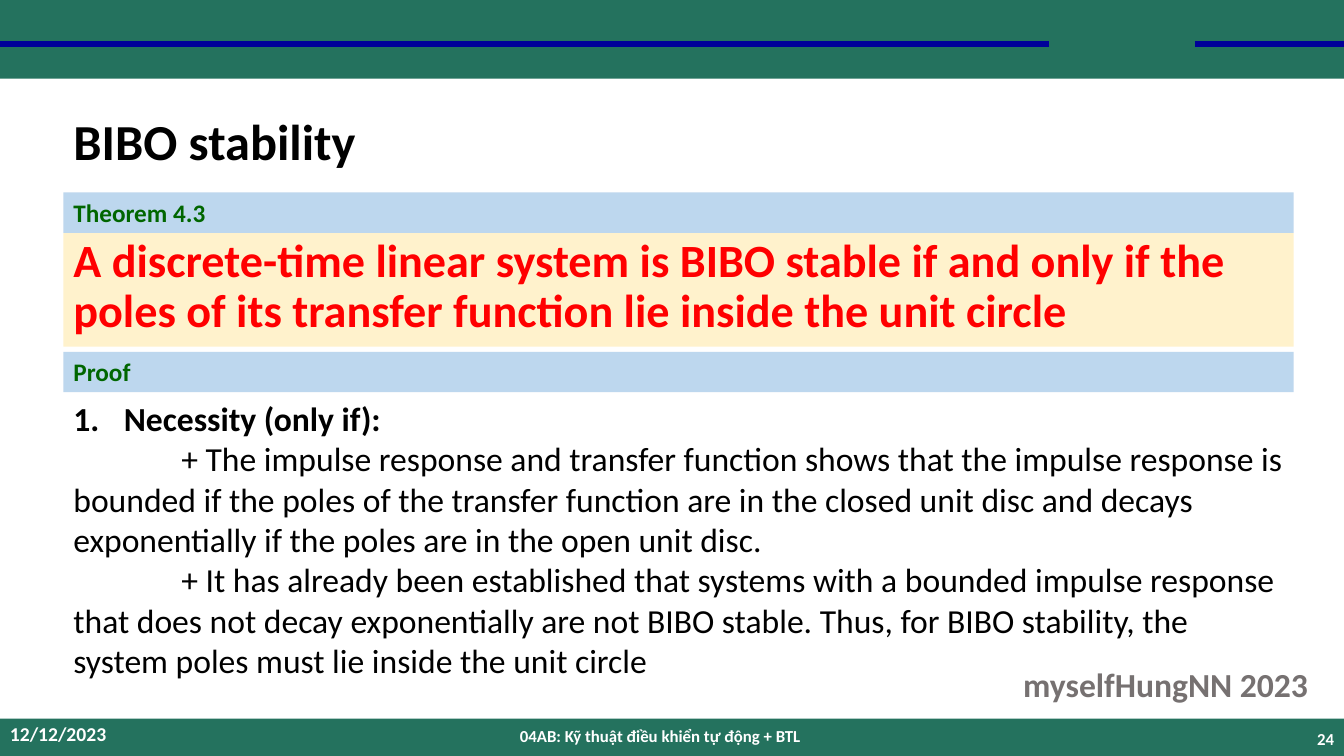
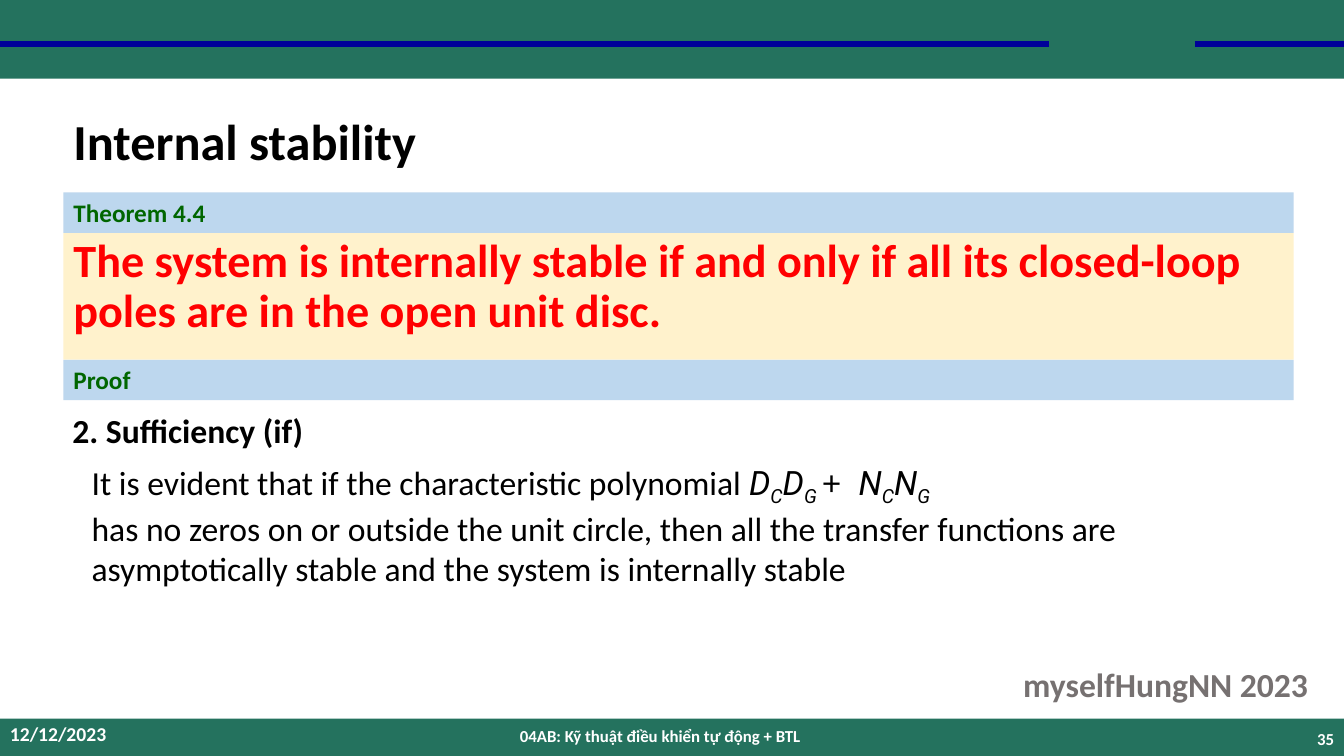
"""Builds two lecture slides on the stability of discrete-time systems."""
from dataclasses import dataclass

from lxml import etree
from pptx import Presentation
from pptx.dml.color import RGBColor
from pptx.enum.shapes import MSO_CONNECTOR as Connector, MSO_SHAPE as Shape
from pptx.enum.text import MSO_ANCHOR as Anchor, PP_ALIGN as Align
from pptx.oxml.ns import qn
from pptx.util import Inches, Pt


@dataclass(frozen=True)
class Theme:
    """Colours, fonts and type sizes."""
    green: str = "24725E"
    navy: str = "000099"
    grey: str = "767171"
    black: str = "000000"
    white: str = "FFFFFF"
    red: str = "FF0000"
    label: str = "006600"
    blue_band: str = "BDD7EE"
    cream: str = "FFF2CC"
    font: str = "Calibri"
    math_font: str = "Roboto"
    sign_font: str = "Lato"
    title: int = 36
    statement: int = 33
    body: int = 24
    heading: int = 18
    date: int = 14
    footer: int = 12


THEME = Theme()
WIDTH, HEIGHT = 13.33, 7.5
LEFT, CONTENT_WIDTH = 0.63, 12.2
HEADING_TOP, HEADING_HEIGHT = 1.91, 0.4
TOP_BAND, BOTTOM_BAND = 0.78, 0.37
RULE_TOP, RULES = 0.44, [(0, 10.4), (11.85, WIDTH)]

BOLD = {"bold": True}
SYMBOL = {"name": THEME.math_font, "italic": True}
SUBSCRIPT = {**SYMBOL, "baseline": -25000}
SIGN = {"name": THEME.sign_font}
INDENT = {"indent": 1.07}

FOOTERS = [
    ((4.3, 7.1, 4.5, 0.4), "04AB: Kỹ thuật điều khiển tự động + BTL", THEME.footer, Align.CENTER),
    ((0, 7.1, 3, 0.36), "12/12/2023", THEME.date, Align.LEFT),
]
PAGE_BOX = (10.33, 7.13, 3, 0.4)
SIGNATURE = ((10.05, 6.54, 3.05, 0.5), "myselfHungNN 2023")

SLIDES = [
    {
        "title": "BIBO stability",
        "page": "24",
        "theorem": "Theorem 4.3",
        "statement": "A discrete-time linear system is BIBO stable if and only if the "
                     "poles of its transfer function lie inside the unit circle",
        "statement_height": 1.13,
        "proof_top": 3.49,
        "proof": [
            ((LEFT, 3.9, CONTENT_WIDTH, 2.93), [
                ([("Necessity (only if):", BOLD)],
                 {"margin": 0.5, "indent": -0.5, "numbered": True}),
                ([("+ The impulse response and transfer function shows that the impulse "
                   "response is bounded if the poles of the transfer function are in the "
                   "closed unit disc and decays exponentially if the poles are in the open "
                   "unit disc.", {})], INDENT),
                ([("+ It has already been established that systems with a bounded impulse "
                   "response that does not decay exponentially are not BIBO stable. Thus, "
                   "for BIBO stability, the system poles must lie inside the unit circle",
                   {})], INDENT),
            ]),
        ],
    },
    {
        "title": "Internal stability",
        "page": "35",
        "theorem": "Theorem 4.4",
        "statement": "The system is internally stable if and only if all its closed-loop "
                     "poles are in the open unit disc.",
        "statement_height": 1.26,
        "proof_top": 3.57,
        "proof": [
            ((0.62, 4.02, 4.7, 0.5), [([("2. Sufficiency (if)", BOLD)], {})]),
            ((0.81, 4.53, 12.02, 1.31), [
                ([("It is evident that if the characteristic polynomial ", {}),
                  ("D", SYMBOL), ("C", SUBSCRIPT), ("D", SYMBOL), ("G ", SUBSCRIPT),
                  ("+  ", SIGN),
                  ("N", SYMBOL), ("C", SUBSCRIPT), ("N", SYMBOL), ("G", SUBSCRIPT)], {}),
                ([("has no zeros on or outside the unit circle, then all the transfer "
                   "functions are asymptotically stable and the system is internally "
                   "stable", {})], {}),
            ]),
        ],
    },
]


def rgb(value):
    return RGBColor.from_string(value)


def inches(box):
    return [Inches(length) for length in box]


def add_run(paragraph, text, size, color, style):
    run = paragraph.add_run()
    run.text = text
    run.font.color.rgb = rgb(color)
    style = {"name": THEME.font, "size": Pt(size), "bold": False, **style}
    baseline = style.pop("baseline", None)
    for key, value in style.items():
        setattr(run.font, key, value)
    if baseline:
        run._r.get_or_add_rPr().set("baseline", str(baseline))


def indent_paragraph(paragraph, margin=0, indent=0, numbered=False):
    properties = paragraph._p.get_or_add_pPr()
    properties.set("marL", str(Inches(margin)))
    properties.set("indent", str(Inches(indent)))
    if numbered:
        number = etree.SubElement(properties, qn("a:buAutoNum"))
        number.set("type", "arabicPeriod")


def write(frame, paragraphs, size, color, anchor=Anchor.TOP, wrap=True, **spacing):
    frame.word_wrap = wrap
    frame.vertical_anchor = anchor
    for index, (runs, layout) in enumerate(paragraphs):
        paragraph = frame.add_paragraph() if index else frame.paragraphs[0]
        for key, value in {"alignment": Align.LEFT, **spacing}.items():
            setattr(paragraph, key, value)
        indent_paragraph(paragraph, **layout)
        for text, style in runs:
            add_run(paragraph, text, size, color, style)


def bold_line(text):
    return [([(text, BOLD)], {})]


def add_text(slide, box, paragraphs, size, color, **options):
    textbox = slide.shapes.add_textbox(*inches(box))
    write(textbox.text_frame, paragraphs, size, color, **options)


def add_band(slide, box, fill):
    band = slide.shapes.add_shape(Shape.RECTANGLE, *inches(box))
    band.shadow.inherit = False
    band.fill.solid()
    band.fill.fore_color.rgb = rgb(fill)
    band.line.fill.background()
    return band.text_frame


def add_rule(slide, start, end):
    rule = slide.shapes.add_connector(
        Connector.STRAIGHT, *inches((start, RULE_TOP, end, RULE_TOP)))
    rule.line.color.rgb = rgb(THEME.navy)
    rule.line.width = Pt(4.5)
    etree.SubElement(rule._element.spPr, qn("a:effectLst"))


def add_frame(slide, title, page):
    add_band(slide, (0, 0, WIDTH, TOP_BAND), THEME.green)
    add_band(slide, (0, HEIGHT - BOTTOM_BAND, WIDTH, BOTTOM_BAND), THEME.green)
    for start, end in RULES:
        add_rule(slide, start, end)
    box, signature = SIGNATURE
    add_text(slide, box, bold_line(signature), THEME.body, THEME.grey, wrap=False)
    add_text(slide, (LEFT, 0.77, CONTENT_WIDTH, 1.33), bold_line(title),
             THEME.title, THEME.black, anchor=Anchor.MIDDLE, line_spacing=0.9)
    for box, text, size, alignment in FOOTERS + [(PAGE_BOX, page, THEME.footer, Align.RIGHT)]:
        add_text(slide, box, bold_line(text), size, THEME.white,
                 anchor=Anchor.MIDDLE, alignment=alignment)


def add_theorem(slide, content):
    statement_top = HEADING_TOP + HEADING_HEIGHT
    statement = add_band(
        slide, (LEFT, statement_top, CONTENT_WIDTH, content["statement_height"]), THEME.cream)
    write(statement, bold_line(content["statement"]), THEME.statement, THEME.red,
          line_spacing=0.9, space_before=Pt(10))
    for top, heading in [(HEADING_TOP, content["theorem"]), (content["proof_top"], "Proof")]:
        band = add_band(slide, (LEFT, top, CONTENT_WIDTH, HEADING_HEIGHT), THEME.blue_band)
        write(band, bold_line(heading), THEME.heading, THEME.label)
    for box, paragraphs in content["proof"]:
        add_text(slide, box, paragraphs, THEME.body, THEME.black)


def main():
    deck = Presentation()
    deck.slide_width, deck.slide_height = inches((WIDTH, HEIGHT))
    for content in SLIDES:
        slide = deck.slides.add_slide(deck.slide_layouts[6])
        add_frame(slide, content["title"], content["page"])
        add_theorem(slide, content)
    deck.save("out.pptx")


if __name__ == "__main__":
    main()
